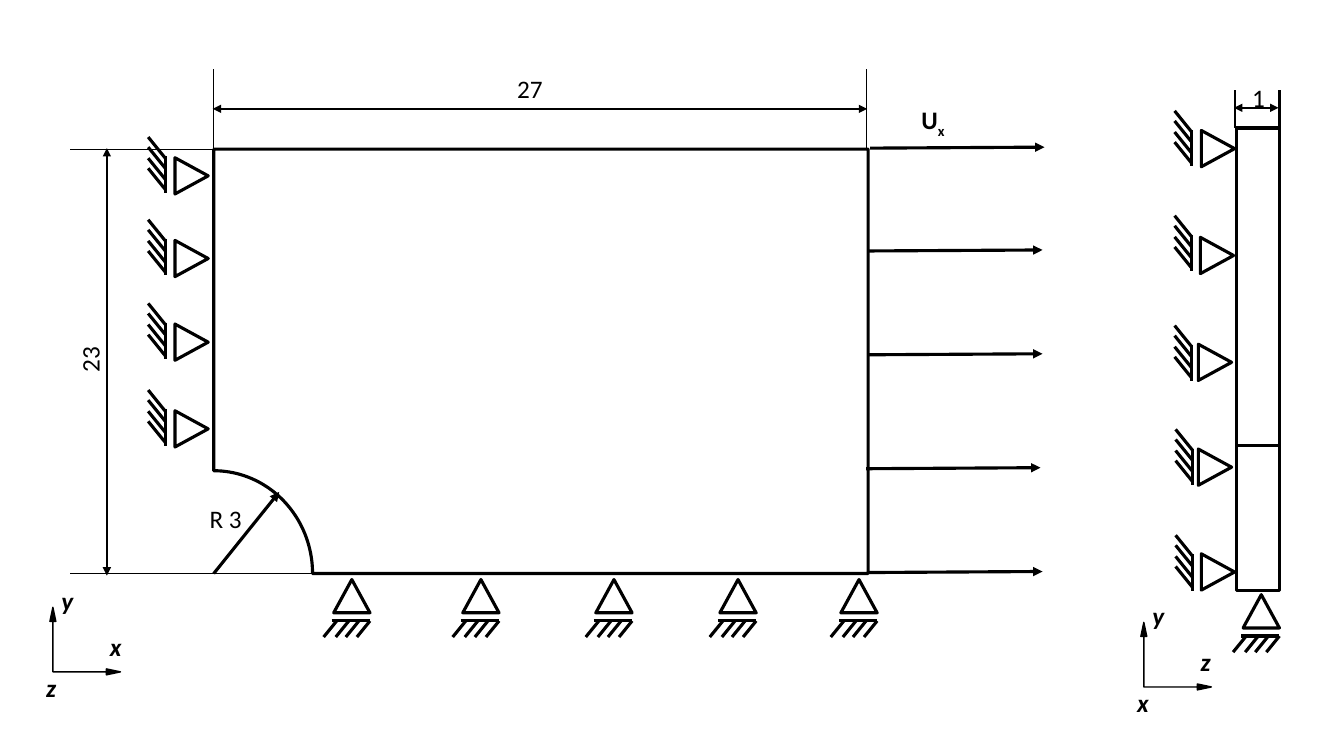
import math

import pptx
import pptx.dml.color
import pptx.enum.shapes
import pptx.enum.text
import pptx.oxml.xmlchemy
import pptx.util

Inches, Pt = pptx.util.Inches, pptx.util.Pt
SHAPE = pptx.enum.shapes.MSO_SHAPE
COLORS = {"ink": "000000", "paper": "FFFFFF"}
FONT = "Calibri"
HEAVY, MEDIUM, THIN = 2.25, 1.5, 0.5


def rgb(name):
    return pptx.dml.color.RGBColor.from_string(COLORS[name])


def style(sp, fill="paper", width=HEAVY):
    sp.shadow.inherit = False
    sp.fill.solid()
    sp.fill.fore_color.rgb = rgb(fill)
    sp.line.color.rgb = rgb("ink")
    sp.line.width = Pt(width)


def add_preset(slide, kind, x, y, w, h, rotation=0, fill="paper", width=HEAVY):
    sp = slide.shapes.add_shape(kind, Inches(x), Inches(y), Inches(w), Inches(h))
    sp.rotation = rotation
    style(sp, fill, width)
    return sp


def add_line(slide, x1, y1, x2, y2, width=HEAVY, ends=()):
    """Draw a line; ends may hold headEnd and tailEnd for arrowheads."""
    ln = slide.shapes.add_connector(
        pptx.enum.shapes.MSO_CONNECTOR.STRAIGHT,
        Inches(x1), Inches(y1), Inches(x2), Inches(y2))
    ln.line.color.rgb = rgb("ink")
    ln.line.width = Pt(width)
    for end in ends:
        arrow = pptx.oxml.xmlchemy.OxmlElement(f"a:{end}")
        arrow.set("type", "triangle")
        ln.line._get_or_add_ln().append(arrow)
    ln._element.spPr.append(pptx.oxml.xmlchemy.OxmlElement("a:effectLst"))


def add_dimension(slide, x1, y1, x2, y2):
    add_line(slide, x1, y1, x2, y2, MEDIUM, ("headEnd", "tailEnd"))


def add_text(slide, text, x, y, w, h=0.4, bold=False, italic=False,
             sub="", wrap=False, rotation=0):
    tb = slide.shapes.add_textbox(Inches(x), Inches(y), Inches(w), Inches(h))
    tb.rotation = rotation
    tf = tb.text_frame
    tf.word_wrap = wrap
    tf.auto_size = pptx.enum.text.MSO_AUTO_SIZE.SHAPE_TO_FIT_TEXT
    p = tf.paragraphs[0]
    for part in filter(None, (text, sub)):
        r = p.add_run()
        r.text = part
        r.font.name, r.font.size = FONT, Pt(18)
        r.font.bold, r.font.italic = bold, italic
        r.font.color.rgb = rgb("ink")
    if sub:
        r.font._element.set("baseline", "-25000")


def add_side_roller(slide, x, y, wall_x, wall_y):
    """Triangle pointing right, with a hatched wall on its left."""
    add_preset(slide, SHAPE.ISOSCELES_TRIANGLE, x, y, 0.36, 0.33, rotation=90)
    add_line(slide, wall_x, wall_y, wall_x, wall_y + 0.36)
    for dy in (-0.19, -0.09, 0.02, 0.12):
        add_line(slide, wall_x - 0.17, wall_y + dy, wall_x, wall_y + dy + 0.21)


def add_base_roller(slide, x, y):
    """Triangle pointing up, with hatched ground below it."""
    add_preset(slide, SHAPE.ISOSCELES_TRIANGLE, x, y, 0.36, 0.33)
    ground = y + 0.41
    add_line(slide, x - 0.02, ground, x + 0.36, ground)
    for dx in (-0.1, 0.02, 0.12, 0.23):
        add_line(slide, x + dx, ground + 0.16, x + dx + 0.13, ground)


def add_axes(slide, x, y, up, right, out):
    sp = add_preset(slide, SHAPE.LEFT_UP_ARROW, x, y, 0.67, 0.7,
                    rotation=90, fill="ink", width=1)
    for i, value in enumerate((0, 0.044, 0.208)):
        sp.adjustments[i] = value
    for label, dx, dy, w in ((up, 0, -0.25, 0.32), (out, -0.15, 0.61, 0.3),
                             (right, 0.48, 0.2, 0.32)):
        add_text(slide, label, x + dx, y + dy, w, bold=True, italic=True, wrap=True)


def add_notched_plate(slide, x, y, w, h, rx, ry):
    """Plate whose lower left corner is cut by a quarter ellipse."""
    steps = 40
    angles = [math.pi / 2 * i / steps for i in range(steps + 1)]
    arc = [(x + rx * math.cos(a), y + h - ry * math.sin(a)) for a in angles]
    points = [(x + w, y), (x + w, y + h)] + arc
    fb = slide.shapes.build_freeform(Inches(x), Inches(y))
    fb.add_line_segments([(Inches(px), Inches(py)) for px, py in points], close=True)
    style(fb.convert_to_shape())


def front_view(slide, x, y, w, h):
    right, bottom = x + w, y + h
    rx, ry = 0.98, 1.02
    add_notched_plate(slide, x, y, w, h, rx, ry)

    for dx in (1.19, 2.47, 3.79, 5.02, 6.22):
        add_base_roller(slide, x + dx, bottom + 0.06)
    for dy in (0.1, 0.92, 1.75, 2.61):
        add_side_roller(slide, x - 0.4, y + dy, x - 0.48, y + dy - 0.03)

    for dx, dy in ((0.02, -0.01), (0, 1.01), (0, 2.04), (-0.02, 3.17), (0, 4.2)):
        add_line(slide, right + dx, y + dy, right + dx + 1.73, y + dy - 0.01,
                 ends=("tailEnd",))
    add_text(slide, "U", right + 0.43, y - 0.49, 0.55, bold=True, sub="x", wrap=True)

    add_line(slide, x, bottom, x + 0.65, bottom - 0.81, ends=("tailEnd",))
    add_text(slide, "R 3", x - 0.14, bottom - 0.75, 0.52)

    for edge in (x, right - 0.02):
        add_line(slide, edge, y, edge, y - 0.8, THIN)
    add_dimension(slide, x - 0.01, y - 0.4, right - 0.01, y - 0.4)
    add_text(slide, "27", x + 2.91, y - 0.8, 0.46)

    for start, level in ((x, y), (x + rx, bottom)):
        add_line(slide, start, level, x - 1.43, level, THIN)
    add_dimension(slide, x - 1.06, y - 0.01, x - 1.06, bottom + 0.02)
    add_text(slide, "23", x - 1.46, y + 1.88, 0.46, rotation=270)

    add_axes(slide, x - 1.61, bottom + 0.32, up="y", right="x", out="z")


def side_view(slide, x, y, w, h):
    right, bottom = x + w, y + h
    add_preset(slide, SHAPE.RECTANGLE, x, y, w, h)
    add_line(slide, x, y + 3.15, right, y + 3.15)

    add_base_roller(slide, x + 0.07, bottom + 0.04)
    for dx, dy, wall_dx, wall_dy in (
            (-0.36, 0.04, -0.44, 0.02), (-0.37, 1.1, -0.44, 1.06),
            (-0.39, 2.16, -0.44, 2.15), (-0.39, 3.2, -0.43, 3.18),
            (-0.36, 4.24, -0.43, 4.23)):
        add_side_roller(slide, x + dx, y + dy, x + wall_dx, y + wall_dy)

    for edge in (x - 0.01, right):
        add_line(slide, edge, y, edge, y - 0.38, MEDIUM)
    add_dimension(slide, x - 0.02, y - 0.2, right - 0.01, y - 0.2)
    add_text(slide, "1", x + 0.06, y - 0.5, 0.33)

    add_axes(slide, x - 0.93, bottom + 0.3, up="y", right="z", out="x")


def main():
    prs = pptx.Presentation()
    prs.slide_width, prs.slide_height = Inches(13.33), Inches(7.5)
    slide = prs.slides.add_slide(prs.slide_layouts[6])
    front_view(slide, 2.12, 1.48, 6.49, 4.21)
    side_view(slide, 12.26, 1.27, 0.43, 4.59)
    prs.save("out.pptx")


if __name__ == "__main__":
    main()
